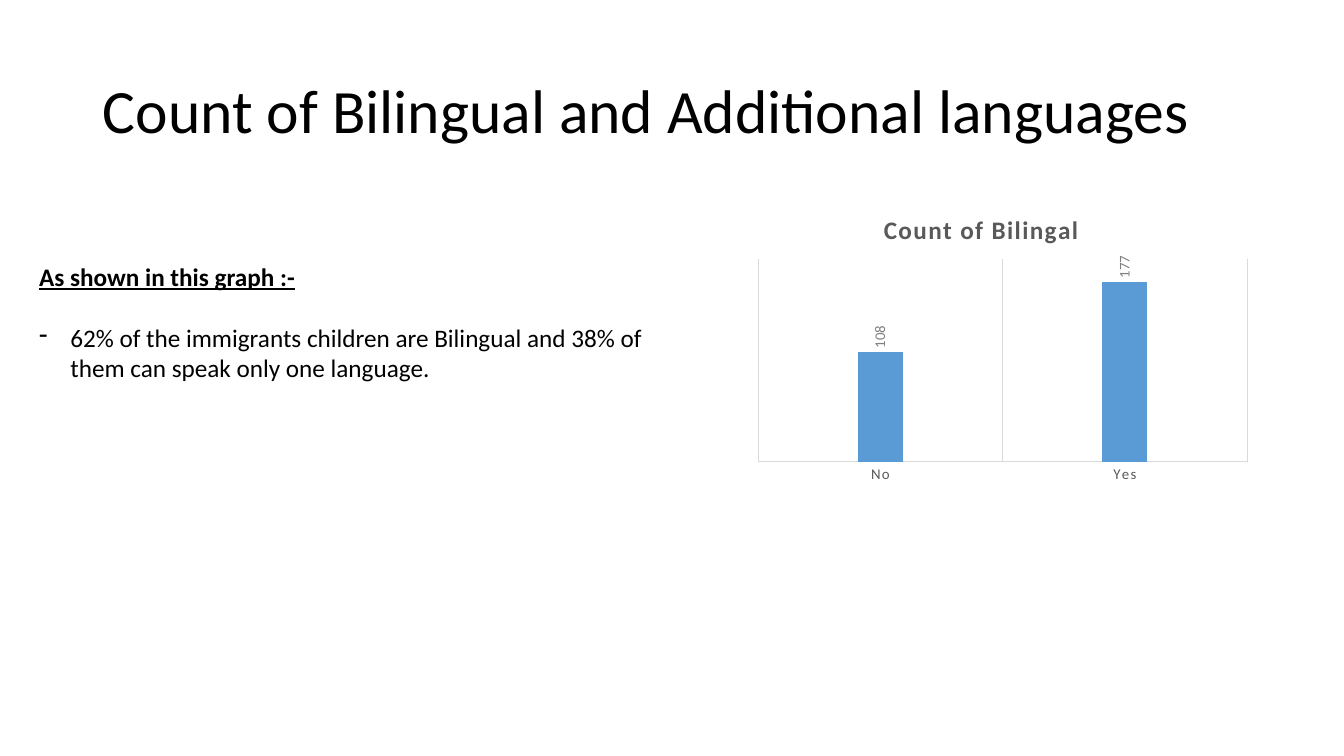
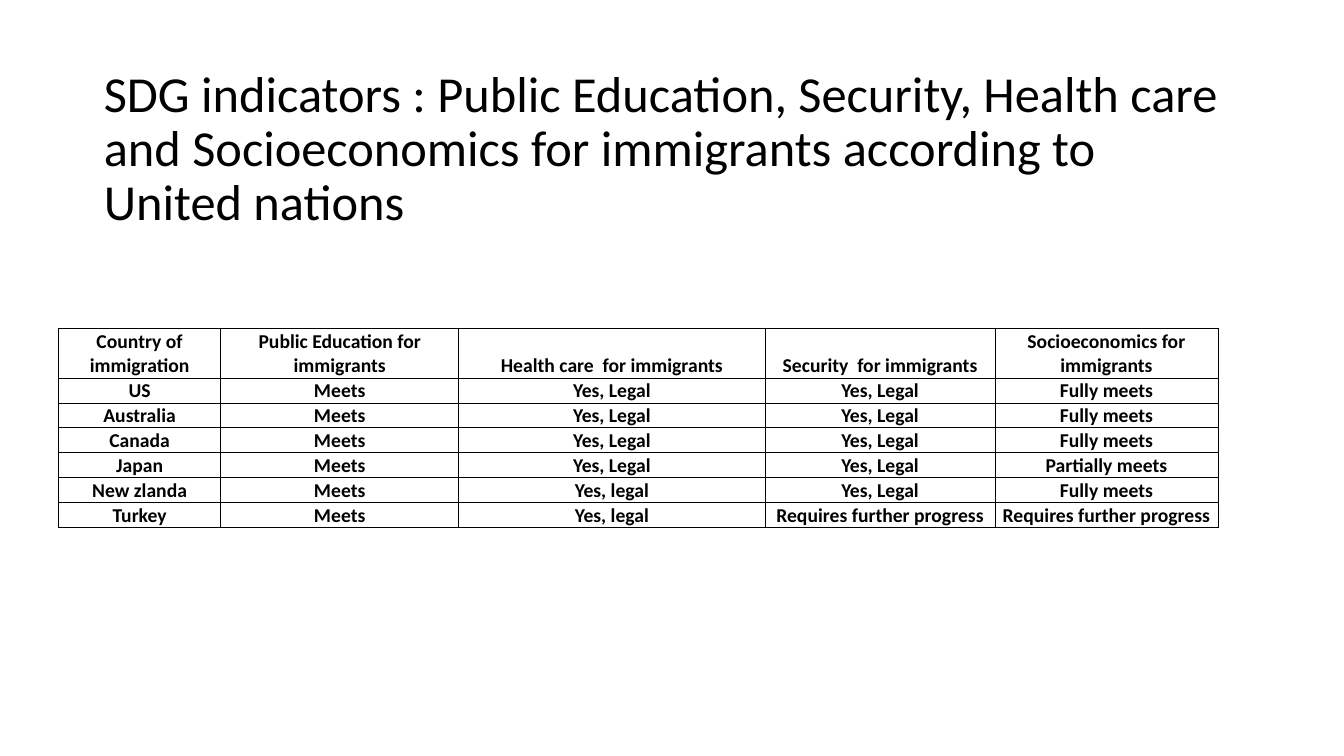
from dataclasses import dataclass
from typing import Any

import lxml.etree
import pptx
import pptx.chart.data
import pptx.dml.color
import pptx.enum.chart
import pptx.enum.text
import pptx.oxml.ns
import pptx.util

Inches = pptx.util.Inches
Pt = pptx.util.Pt
qn = pptx.oxml.ns.qn


@dataclass(frozen=True)
class Theme:
    font: str = "Calibri"
    text: str = "000000"
    bar: str = "5B9BD5"
    axis_text: str = "595959"
    label_text: str = "808080"
    grid: str = "D9D9D9"
    title_size: float = 44
    long_title_size: float = 36
    body_size: float = 18
    table_size: float = 14
    chart_size: float = 10
    chart_title_size: float = 18
    chart_label_size: float = 10.6
    hairline: float = 0.5
    grid_line: float = 0.75


@dataclass(frozen=True)
class Frame:
    left: float
    top: float
    width: float
    height: float

    def lengths(self) -> list[int]:
        return [Inches(n) for n in (self.left, self.top, self.width, self.height)]


@dataclass(frozen=True)
class Title:
    text: str
    frame: Frame
    size: float
    bottom_inset: float = 0.05


THEME = Theme()


# Shared text and line helpers
def colour(value: str) -> pptx.dml.color.RGBColor:
    return pptx.dml.color.RGBColor.from_string(value)


def style_font(font: Any, size: float, tint: str, bold: bool = False) -> None:
    font.name = THEME.font
    font.size = Pt(size)
    font.bold = bold
    font.color.rgb = colour(tint)


def add_span(para: Any, text: str, size: float, bold: bool = False,
             tint: str = THEME.text) -> Any:
    span = para.add_run()
    span.text = text
    style_font(span.font, size, tint, bold)
    return span


def style_line(line: Any) -> None:
    line.color.rgb = colour(THEME.grid)
    line.width = Pt(THEME.grid_line)


def add_titled_page(deck: Any, title: Title) -> Any:
    page = deck.slides.add_slide(deck.slide_layouts[5])
    box = page.shapes.title
    box.left, box.top, box.width, box.height = title.frame.lengths()
    frame = box.text_frame
    frame.word_wrap = True
    frame.auto_size = pptx.enum.text.MSO_AUTO_SIZE.NONE
    frame.vertical_anchor = pptx.enum.text.MSO_ANCHOR.MIDDLE
    frame.margin_bottom = Inches(title.bottom_inset)
    para = frame.paragraphs[0]
    para.alignment = pptx.enum.text.PP_ALIGN.LEFT
    para.line_spacing = 0.9
    add_span(para, title.text, title.size)
    return page


# Findings beside the chart
def add_findings(page: Any, place: Frame, heading: str, finding: str) -> None:
    box = page.shapes.add_textbox(*place.lengths())
    frame = box.text_frame
    frame.word_wrap = True
    frame.auto_size = pptx.enum.text.MSO_AUTO_SIZE.SHAPE_TO_FIT_TEXT
    span = add_span(frame.paragraphs[0], heading, THEME.body_size, bold=True)
    span.font.underline = True
    para = frame.add_paragraph()
    para.space_before = Pt(22)
    add_span(para, finding, THEME.body_size)
    settings = para._p.get_or_add_pPr()
    settings.set("marL", str(Inches(0.31)))
    settings.set("indent", str(-Inches(0.31)))
    lxml.etree.SubElement(settings, qn("a:buChar")).set("char", "-")


# Column chart
def set_layout(parent: Any, index: int, target: str = "", **fractions: float) -> None:
    for old in parent.findall(qn("c:layout")):
        parent.remove(old)
    layout = lxml.etree.SubElement(parent, qn("c:layout"))
    manual = lxml.etree.SubElement(layout, qn("c:manualLayout"))
    values = {"layoutTarget": target} if target else {}
    values |= {"xMode": "edge", "yMode": "edge"}
    values |= {name: str(part) for name, part in fractions.items()}
    for name, value in values.items():
        lxml.etree.SubElement(manual, qn(f"c:{name}")).set("val", value)
    parent.insert(index, layout)


def add_count_chart(page: Any, place: Frame, heading: str, counts: dict[str, int]) -> None:
    data = pptx.chart.data.CategoryChartData()
    data.categories = list(counts)
    data.add_series("Series 1", list(counts.values()))
    kind = pptx.enum.chart.XL_CHART_TYPE.COLUMN_CLUSTERED
    chart = page.shapes.add_chart(kind, *place.lengths(), data).chart
    chart.has_legend = False
    style_font(chart.font, THEME.chart_size, THEME.text)

    # Heading and plot position
    chart.has_title = True
    para = chart.chart_title.text_frame.paragraphs[0]
    span = add_span(para, heading, THEME.chart_title_size, True, THEME.axis_text)
    span._r.get_or_add_rPr().set("spc", "100")
    root = chart._chartSpace
    set_layout(root.find(".//" + qn("c:title")), 1, x=0.26, y=0.07)
    set_layout(root.find(".//" + qn("c:plotArea")), 0, "inner",
               x=0.02, y=0.24, w=0.97, h=0.67)

    # Axes
    axis = chart.category_axis
    axis.major_tick_mark = pptx.enum.chart.XL_TICK_MARK.NONE
    axis.has_major_gridlines = True
    style_line(axis.major_gridlines.format.line)
    style_line(axis.format.line)
    style_font(axis.tick_labels.font, THEME.chart_label_size, THEME.axis_text)
    root.find(".//" + qn("c:catAx")).find(".//" + qn("a:defRPr")).set("spc", "100")
    chart.value_axis.minimum_scale = 0
    chart.value_axis.maximum_scale = 200
    chart.value_axis.has_major_gridlines = False
    chart.value_axis.visible = False

    # Bars and their upright labels
    plot = chart.plots[0]
    plot.vary_by_categories = False
    plot.gap_width = 444
    plot.overlap = -90
    series = plot.series[0]
    series.format.fill.solid()
    series.format.fill.fore_color.rgb = colour(THEME.bar)
    labels = series.data_labels
    labels.show_value = True
    labels.position = pptx.enum.chart.XL_LABEL_POSITION.OUTSIDE_END
    style_font(labels.font, THEME.chart_label_size, THEME.label_text)
    turned = root.find(".//" + qn("c:dLbls")).find(".//" + qn("a:bodyPr"))
    turned.set("rot", "-5400000")
    turned.set("vert", "horz")


# Indicator table
def add_borders(cell: Any) -> None:
    settings = cell._tc.get_or_add_tcPr()
    for index, side in enumerate(("lnL", "lnR", "lnT", "lnB")):
        line = lxml.etree.SubElement(settings, qn(f"a:{side}"))
        line.set("w", str(Pt(THEME.hairline)))
        fill = lxml.etree.SubElement(line, qn("a:solidFill"))
        lxml.etree.SubElement(fill, qn("a:srgbClr")).set("val", THEME.text)
        settings.insert(index, line)


def fill_cell(cell: Any, text: str) -> None:
    cell.fill.background()
    cell.margin_left = cell.margin_right = cell.margin_top = Inches(0.01)
    cell.margin_bottom = Inches(0)
    cell.vertical_anchor = pptx.enum.text.MSO_ANCHOR.BOTTOM
    para = cell.text_frame.paragraphs[0]
    para.alignment = pptx.enum.text.PP_ALIGN.CENTER
    add_span(para, text, THEME.table_size, bold=True)
    add_borders(cell)


def add_indicator_table(page: Any, place: Frame, widths: list[float],
                        rows: list[tuple[str, ...]]) -> None:
    shape = page.shapes.add_table(len(rows), len(widths), *place.lengths())
    table = shape.table
    table.first_row = table.horz_banding = False
    for column, width in zip(table.columns, widths):
        column.width = Inches(width)
    for index, texts in enumerate(rows):
        table.rows[index].height = Inches(0.24 if index else 0.49)
        for column, text in enumerate(texts):
            fill_cell(table.cell(index, column), text)


deck = pptx.Presentation()
deck.slide_width = Inches(13.33)
deck.slide_height = Inches(7.5)

# Slide 1: language counts
languages = add_titled_page(deck, Title(
    "Count of Bilingual and Additional languages",
    Frame(0.92, 0.4, 11.5, 1.45), THEME.title_size))
add_count_chart(languages, Frame(7.42, 1.85, 5, 3), "Count of Bilingal",
                {"No": 108, "Yes": 177})
add_findings(
    languages, Frame(0.29, 2.54, 6.67, 1.31), "As shown in this graph :-",
    "62% of the immigrants children are Bilingual and 38% of them can speak "
    "only one language.")

# Slide 2: indicators by country
indicators = add_titled_page(deck, Title(
    "SDG indicators : Public Education, Security, Health care and "
    "Socioeconomics for immigrants according to United nations",
    Frame(0.93, 1.39, 11.5, 0.83), THEME.long_title_size, bottom_inset=0.68))
FURTHER = "Requires further progress"
add_indicator_table(
    indicators, Frame(0.58, 3.26, 11.5, 1.93), [1.61, 2.36, 3.04, 2.28, 2.21], [
        ("Country of immigration", "Public Education for immigrants",
         "Health care  for immigrants", "Security  for immigrants",
         "Socioeconomics for immigrants"),
        ("US", "Meets", "Yes, Legal", "Yes, Legal", "Fully meets"),
        ("Australia", "Meets", "Yes, Legal", "Yes, Legal", "Fully meets"),
        ("Canada", "Meets", "Yes, Legal", "Yes, Legal", "Fully meets"),
        ("Japan", "Meets", "Yes, Legal", "Yes, Legal", "Partially meets"),
        ("New zlanda", "Meets", "Yes, legal", "Yes, Legal", "Fully meets"),
        ("Turkey", "Meets", "Yes, legal", FURTHER, FURTHER),
    ])

deck.save("out.pptx")
